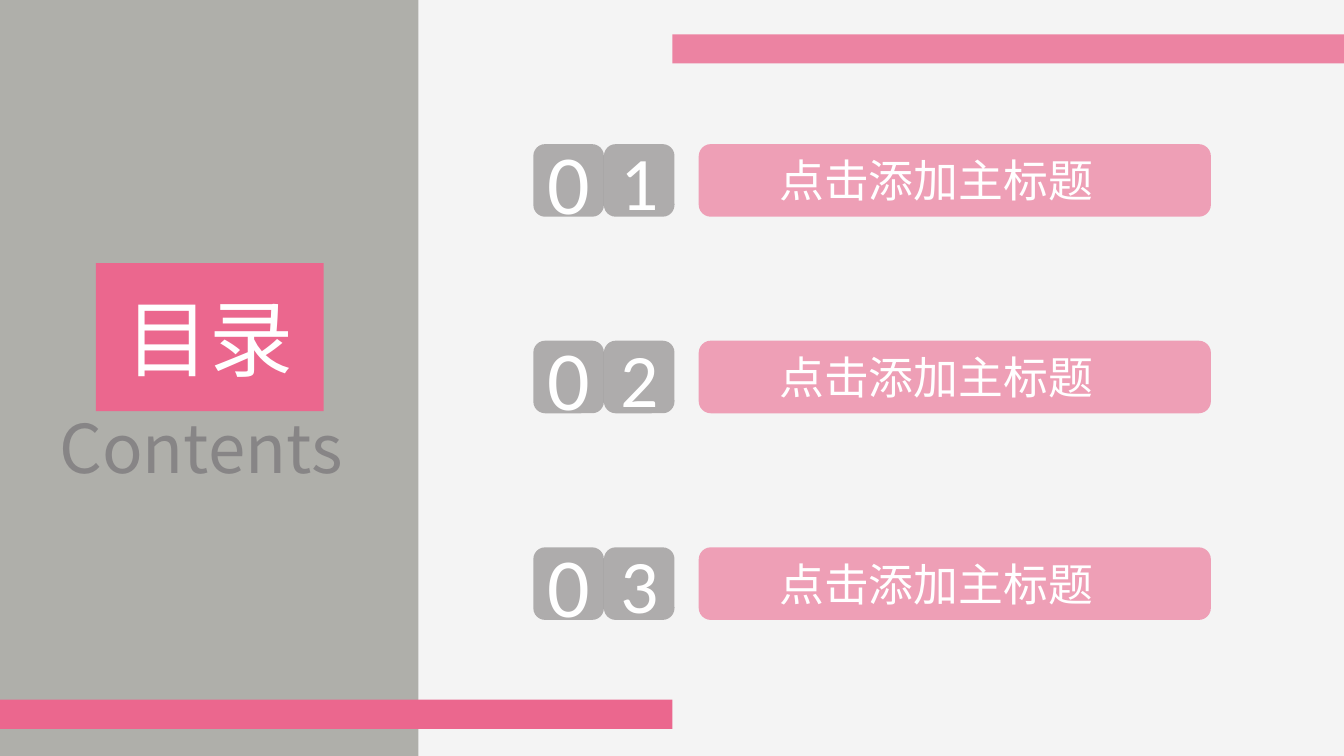
from dataclasses import dataclass

from lxml import etree
from pptx import Presentation
from pptx.dml.color import RGBColor
from pptx.enum.shapes import MSO_SHAPE
from pptx.enum.text import MSO_ANCHOR, MSO_AUTO_SIZE, PP_ALIGN
from pptx.oxml.ns import qn
from pptx.util import Inches, Pt


@dataclass(frozen=True)
class Theme:
    background: str = "F4F4F4"
    panel: str = "92928C"
    pink: str = "EB678E"
    tile: str = "767171"
    subtitle: str = "878586"
    white: str = "FFFFFF"
    chinese_font: str = "Noto Sans CJK SC"
    number_font: str = "Calibri"
    title_size: int = 60
    subtitle_size: int = 48
    zero_size: int = 60
    digit_size: int = 54
    entry_size: int = 32


THEME = Theme()
ENTRIES = [
    (1.43, "1", "点击添加主标题"),
    (3.38, "2", "点击添加主标题"),
    (5.43, "3", "点击添加主标题"),
]
TILE_LEFT, TILE_WIDTH, ROW_HEIGHT = 5.29, 0.7, 0.72


def set_fill(shape, color, opacity=100):
    shape.fill.solid()
    shape.fill.fore_color.rgb = RGBColor.from_string(color)
    if opacity < 100:
        color_element = shape.element.spPr.find(qn("a:solidFill"))[0]
        etree.SubElement(color_element, qn("a:alpha"), val=str(opacity * 1000))


def write(shape, text, size, font, color=THEME.white, align=PP_ALIGN.CENTER):
    """Fill a shape with one formatted line of text."""
    frame = shape.text_frame
    frame.text = text
    paragraph = frame.paragraphs[0]
    paragraph.alignment = align
    paragraph.line_spacing = 1.0
    run = paragraph.runs[0]
    run.font.size = Pt(size)
    run.font.name = font
    run.font.color.rgb = RGBColor.from_string(color)
    east_asian = etree.Element(qn("a:ea"), typeface=font)
    run.font._element.find(qn("a:latin")).addnext(east_asian)


def add_block(shapes, kind, left, top, width, height, color, opacity=100):
    shape = shapes.add_shape(
        kind, Inches(left), Inches(top), Inches(width), Inches(height))
    shape.shadow.inherit = False
    shape.line.fill.background()
    set_fill(shape, color, opacity)
    return shape


def add_label(slide, left, top, width, height, text, size, color):
    box = slide.shapes.add_textbox(
        Inches(left), Inches(top), Inches(width), Inches(height))
    box.text_frame.word_wrap = True
    box.text_frame.auto_size = MSO_AUTO_SIZE.SHAPE_TO_FIT_TEXT
    write(box, text, size, THEME.chinese_font, color, PP_ALIGN.LEFT)


def place_title(slide, text):
    title = slide.shapes.title
    title.left, title.top = Inches(0.95), Inches(2.61)
    title.width, title.height = Inches(2.26), Inches(1.47)
    set_fill(title, THEME.pink)
    write(title, text, THEME.title_size, THEME.chinese_font)
    title.text_frame.auto_size = MSO_AUTO_SIZE.NONE
    title.text_frame.vertical_anchor = MSO_ANCHOR.MIDDLE


def add_number(slide, top, digit):
    """Add a pair of tiles that read as a two-digit number."""
    group = slide.shapes.add_group_shape()
    tiles = [("0", THEME.zero_size), (digit, THEME.digit_size)]
    for index, (character, size) in enumerate(tiles):
        tile = add_block(
            group.shapes, MSO_SHAPE.ROUNDED_RECTANGLE,
            TILE_LEFT + index * TILE_WIDTH, top, TILE_WIDTH, ROW_HEIGHT,
            THEME.tile, 55)
        tile.text_frame.vertical_anchor = MSO_ANCHOR.MIDDLE
        write(tile, character, size, THEME.number_font)


def add_entry(slide, top, digit, text):
    add_block(slide.shapes, MSO_SHAPE.ROUNDED_RECTANGLE,
              6.93, top, 5.08, ROW_HEIGHT, THEME.pink, 60)
    add_number(slide, top, digit)
    add_label(slide, 7.63, top + 0.04, 3.39, 0.64,
              text, THEME.entry_size, THEME.white)


def main():
    presentation = Presentation()
    presentation.slide_width = Inches(13.33)
    presentation.slide_height = Inches(7.5)
    slide = presentation.slides.add_slide(presentation.slide_layouts[5])
    background = slide.background.fill
    background.solid()
    background.fore_color.rgb = RGBColor.from_string(THEME.background)

    panel = add_block(slide.shapes, MSO_SHAPE.RECTANGLE,
                      0, 0, 4.15, 7.5, THEME.panel, 70)
    place_title(slide, "目录")
    # The panel goes behind the title placeholder.
    slide.shapes.title.element.addprevious(panel.element)
    add_label(slide, 0.49, 3.98, 3.18, 0.91,
              "Contents", THEME.subtitle_size, THEME.subtitle)

    for top, digit, text in ENTRIES:
        add_entry(slide, top, digit, text)

    for left, top, opacity in [(6.67, 0.34, 80), (0, 6.94, 100)]:
        add_block(slide.shapes, MSO_SHAPE.RECTANGLE,
                  left, top, 6.67, 0.29, THEME.pink, opacity)

    presentation.save("out.pptx")


if __name__ == "__main__":
    main()
